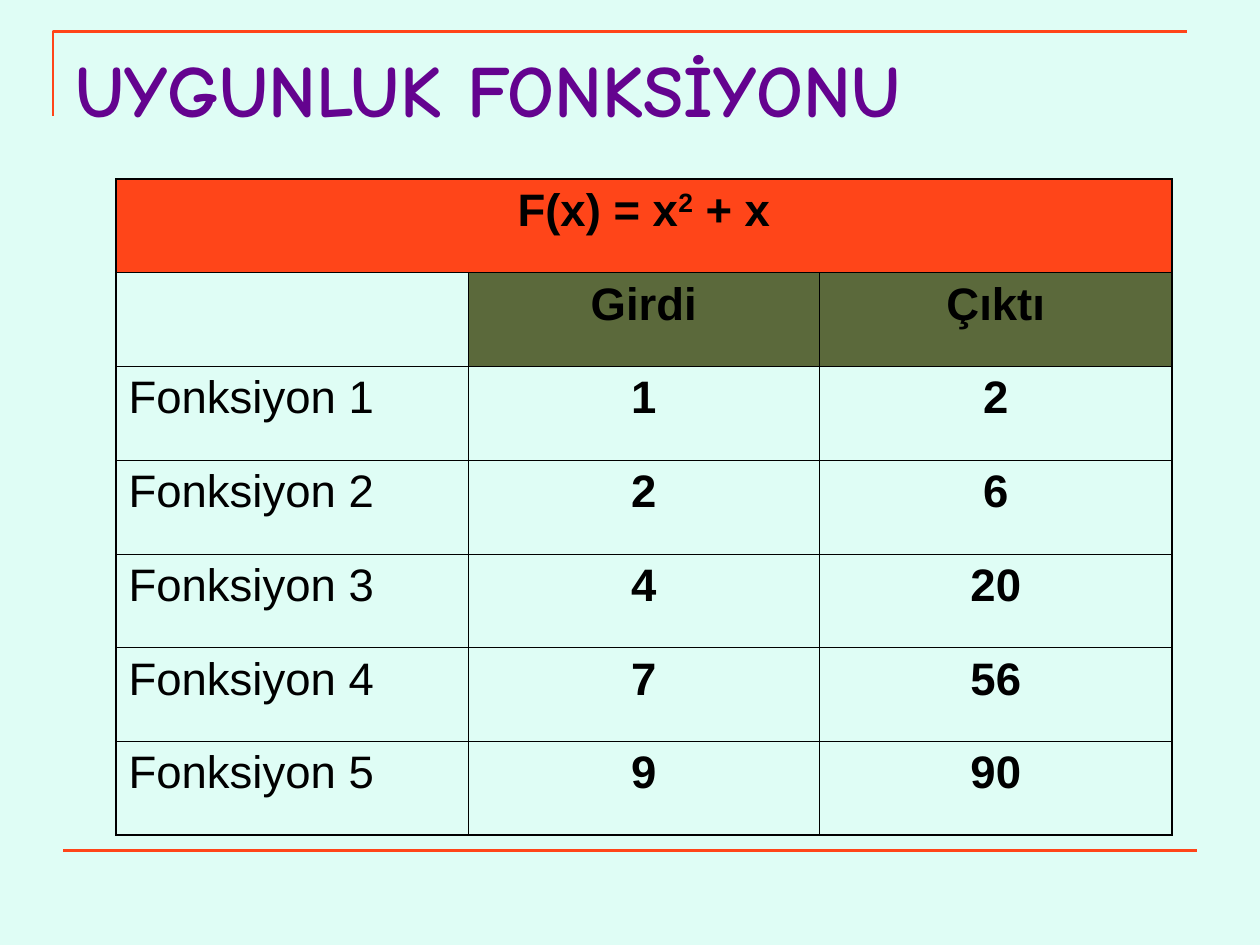
"""Builds the fitness function slide with its table of inputs and outputs."""
from dataclasses import dataclass

from lxml import etree
from pptx import Presentation
from pptx import util as u
from pptx.dml.color import RGBColor
from pptx.enum import shapes, text
from pptx.oxml.ns import qn

TITLE = "UYGUNLUK FONKSİYONU"
FORMULA = [("F(x) = x", 0), ("2", 30), (" + x", 0)]
HEADINGS = ["", "Girdi", "Çıktı"]
INPUTS = [1, 2, 4, 7, 9]
RESULTS = [2, 6, 20, 56, 90]


@dataclass(frozen=True)
class Theme:
    """Colours, fonts and sizes of the slide."""
    paper: str = "DFFDF5"
    accent: str = "FF4519"
    heading: str = "5B693B"
    title: str = "64038F"
    ink: str = "000000"
    title_font: str = "Comic Neue"
    body_font: str = "Arial"
    title_size: float = 42
    body_size: float = 26
    rule: float = 1.5
    outer: float = 1.08
    inner: float = 0.45


theme = Theme()


def write(frame, runs, font=theme.body_font, size=theme.body_size,
          color=theme.ink, bold=True, align=text.PP_ALIGN.LEFT, before=0):
    """Fill a text frame with (words, baseline) runs in one format."""
    paragraph = frame.paragraphs[0]
    paragraph.alignment = align
    paragraph.space_before = u.Pt(before)
    for words, baseline in runs:
        run = paragraph.add_run()
        run.text = words
        run.font.name, run.font.size, run.font.bold = font, u.Pt(size), bold
        run.font.color.rgb = RGBColor.from_string(color)
        if baseline:
            run.font._element.set("baseline", str(baseline * 1000))


def rule_off(line_shape):
    """Give a rule its colour and width, without a shadow."""
    line_shape.line.color.rgb = RGBColor.from_string(theme.accent)
    line_shape.line.width = u.Pt(theme.rule)
    properties = line_shape._element.spPr
    if properties.find(qn("a:effectLst")) is None:
        etree.SubElement(properties, qn("a:effectLst"))


def border(cell, edges):
    """Draw the four cell borders, heavier on the outer edges."""
    properties = cell._tc.get_or_add_tcPr()
    for position, (side, is_outer) in enumerate(edges.items()):
        width = u.Pt(theme.outer if is_outer else theme.inner)
        edge = etree.Element(qn(f"a:ln{side}"), w=str(int(width)))
        fill = etree.SubElement(edge, qn("a:solidFill"))
        etree.SubElement(fill, qn("a:srgbClr"), val=theme.ink)
        properties.insert(position, edge)


deck = Presentation()
deck.slide_width, deck.slide_height = u.Inches(10), u.Inches(7.5)
slide = deck.slides.add_slide(deck.slide_layouts[5])
slide.background.fill.solid()
slide.background.fill.fore_color.rgb = RGBColor.from_string(theme.paper)

corner = slide.shapes.build_freeform(u.Inches(0.42), u.Inches(0.92))
corner.add_line_segments([(u.Inches(0.42), u.Inches(0.25)),
                          (u.Inches(9.42), u.Inches(0.25))], close=False)
corner_rule = corner.convert_to_shape()
corner_rule.fill.background()
corner_rule.shadow.inherit = False
rule_off(corner_rule)
rule_off(slide.shapes.add_connector(
    shapes.MSO_CONNECTOR.STRAIGHT,
    u.Inches(0.5), u.Inches(6.75), u.Inches(9.5), u.Inches(6.75)))

title = slide.shapes.title
title.left, title.top = u.Inches(0.5), u.Inches(0.3)
title.width, title.height = u.Inches(9), u.Inches(1.25)
title.text_frame.vertical_anchor = text.MSO_ANCHOR.TOP
title.text_frame.auto_size = text.MSO_AUTO_SIZE.NONE
write(title.text_frame, [(TITLE, 0)], font=theme.title_font,
      size=theme.title_size, color=theme.title)

rows = [[FORMULA, [], []], [[(heading, 0)] if heading else [] for heading in HEADINGS]]
rows += [[[(f"Fonksiyon {number}", 0)], [(str(given), 0)], [(str(result), 0)]]
         for number, (given, result) in enumerate(zip(INPUTS, RESULTS), 1)]
last_row, last_column = len(rows) - 1, len(HEADINGS) - 1
grid = slide.shapes.add_table(len(rows), len(HEADINGS), u.Inches(0.92), u.Inches(1.42),
                              u.Inches(8.38), u.Inches(5.21)).table
grid.cell(0, 0).merge(grid.cell(0, last_column))

for r, row in enumerate(rows):
    for c, runs in enumerate(row):
        cell = grid.cell(r, c)
        fill = theme.accent if r == 0 else theme.heading if r == 1 and c else None
        if fill:
            cell.fill.solid()
            cell.fill.fore_color.rgb = RGBColor.from_string(fill)
        else:
            cell.fill.background()
        border(cell, {"L": c == 0, "R": c == last_column or r == 0,
                      "T": r == 0, "B": r == last_row})
        is_label = r > 1 and c == 0
        write(cell.text_frame, runs, bold=not is_label, before=6.5,
              align=text.PP_ALIGN.LEFT if is_label else text.PP_ALIGN.CENTER)

deck.save("out.pptx")
